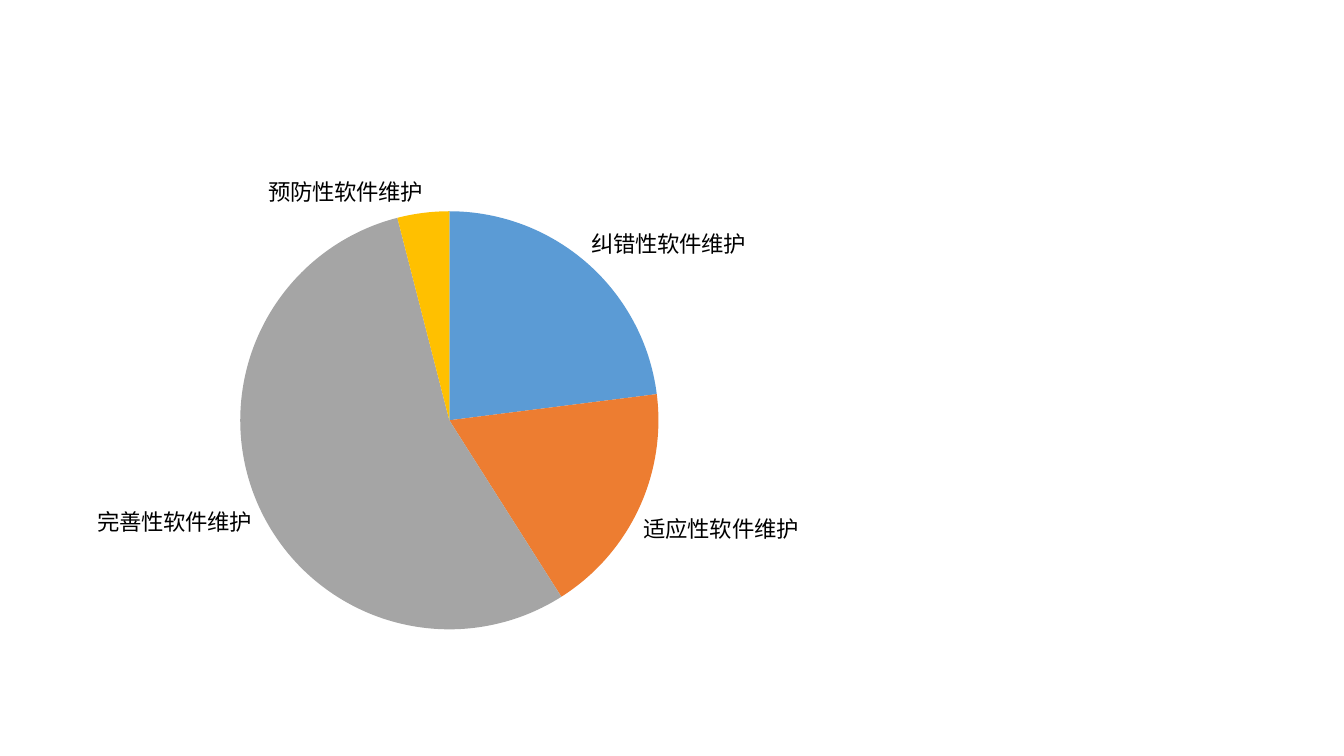
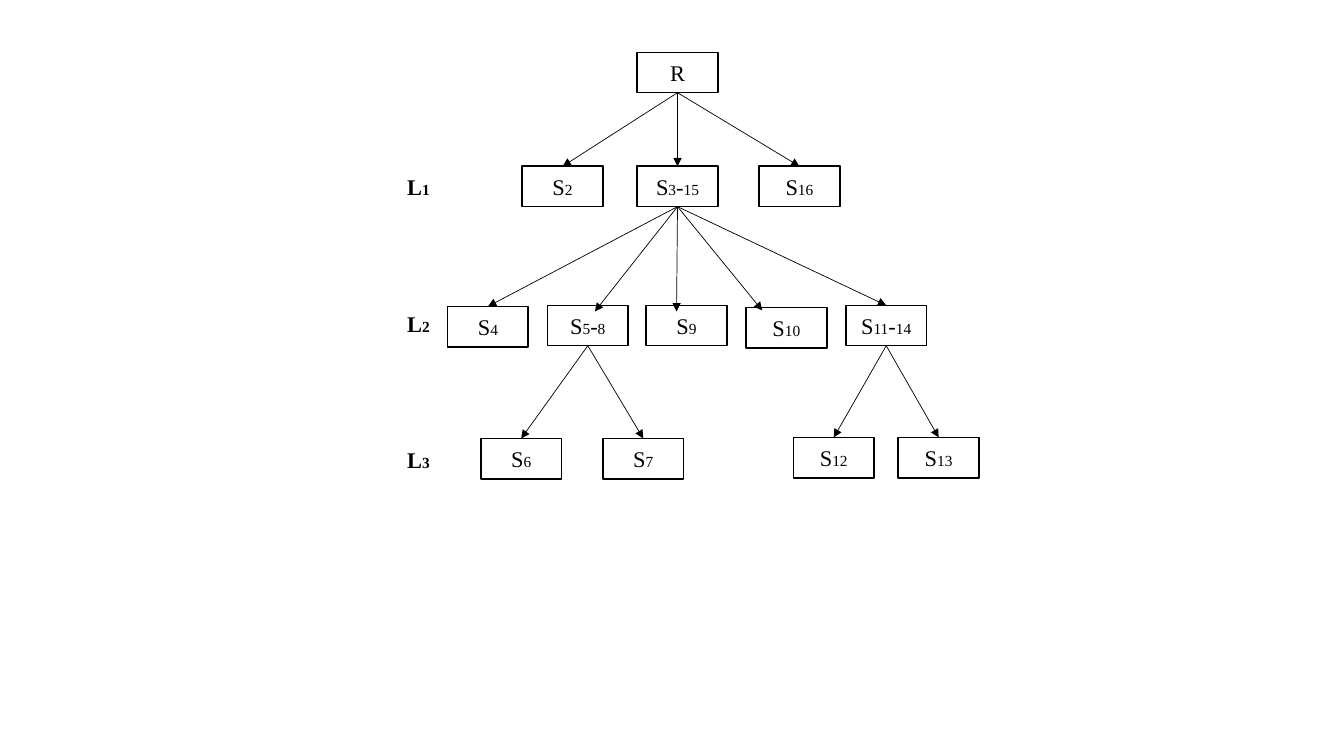
from itertools import groupby

from lxml import etree
from pptx import Presentation
from pptx.chart import data as cd
from pptx.dml import color as dml
from pptx.enum import chart as ce, shapes, text
from pptx.oxml import ns
from pptx.util import Inches, Pt

BLACK = "000000"
CJK, SERIF = "Noto Sans CJK SC", "Times New Roman"
BIG, SMALL = 16, 11
BOX = (0.8, 0.4)

SHARES = [
    ("纠错性软件维护", 23, "5B9BD5"),
    ("适应性软件维护", 18, "ED7D31"),
    ("完善性软件维护", 55, "A5A5A5"),
    ("预防性软件维护", 4, "FFC000"),
]
PIE = {"x": 0.275, "y": 0.112, "w": 0.504, "h": 0.85}

# name: (left, top, parent, arrow tip where it is not the top centre)
NODES = {
    "R": (6.32, 0.52, None, None),
    "S2": (5.18, 1.65, "R", None),
    "S3-15": (6.32, 1.65, "R", None),
    "S16": (7.53, 1.65, "R", None),
    "S4": (4.44, 3.04, "S3-15", None),
    "S5-8": (5.43, 3.03, "S3-15", (5.9, 3.09)),
    "S9": (6.41, 3.03, "S3-15", (6.71, 3.09)),
    "S10": (7.4, 3.05, "S3-15", (7.56, 3.08)),
    "S11-14": (8.39, 3.03, "S3-15", None),
    "S6": (4.77, 4.35, "S5-8", None),
    "S7": (5.98, 4.35, "S5-8", None),
    "S12": (7.87, 4.34, "S11-14", None),
    "S13": (8.91, 4.34, "S11-14", None),
}
LEVELS = {"L1": 1.67, "L2": 3.03, "L3": 4.38}


def paint(code):
    """Turn a hex string into a colour."""
    return dml.RGBColor.from_string(code)


def style(obj, **vals):
    """Set each named format value on an object."""
    for key, val in vals.items():
        setattr(obj, key, val)


def ink(font, name, size, bold=False):
    """Give a font its face, size and colour."""
    style(font, name=name, size=Pt(size), bold=bold)
    font.color.rgb = paint(BLACK)


def write(frame, label, bold=False):
    """Write a label with its digits in the small size."""
    para = frame.paragraphs[0]
    for digit, chars in groupby(label, str.isdigit):
        run = para.add_run()
        run.text = "".join(chars)
        ink(run.font, SERIF, SMALL if digit else BIG, bold)
    return para


def box(slide, label, left, top):
    """Draw one outlined tree node."""
    rect = slide.shapes.add_shape(
        shapes.MSO_SHAPE.RECTANGLE, *map(Inches, (left, top, *BOX)))
    rect.shadow.inherit = False
    rect.fill.background()
    rect.line.color.rgb = paint(BLACK)
    rect.line.width = Pt(1.2)
    style(rect.text_frame, word_wrap=False,
          vertical_anchor=text.MSO_ANCHOR.MIDDLE)
    write(rect.text_frame, label).alignment = text.PP_ALIGN.CENTER
    return rect


def arrow(slide, above, below, tip):
    """Join two nodes, or run from a node to a free tip."""
    end = map(Inches, tip or (0, 0))
    line = slide.shapes.add_connector(
        shapes.MSO_CONNECTOR.STRAIGHT, 0, 0, *end)
    line.begin_connect(above, 2)
    if not tip:
        line.end_connect(below, 0)
    line.line.color.rgb = paint(BLACK)
    line.line.width = Pt(0.5)
    etree.SubElement(line.line._get_or_add_ln(), ns.qn("a:tailEnd"),
                     type="triangle")
    etree.SubElement(line._element.spPr, ns.qn("a:effectLst"))


def level(slide, label, top):
    """Name one level of the tree."""
    area = slide.shapes.add_textbox(*map(Inches, (3.94, top, 0.43, 0.37)))
    style(area.text_frame, word_wrap=False,
          auto_size=text.MSO_AUTO_SIZE.SHAPE_TO_FIT_TEXT)
    write(area.text_frame, label, bold=True)


def place(chart, **spot):
    """Fix the inner plot area as shares of the chart."""
    plot = chart._chartSpace.find(".//" + ns.qn("c:plotArea"))
    for old in plot.findall(ns.qn("c:layout")):
        plot.remove(old)
    layout = etree.Element(ns.qn("c:layout"))
    plot.insert(0, layout)
    manual = etree.SubElement(layout, ns.qn("c:manualLayout"))
    modes = {"layoutTarget": "inner", "xMode": "edge", "yMode": "edge"}
    for tag, val in {**modes, **spot}.items():
        etree.SubElement(manual, ns.qn("c:" + tag), val=str(val))


def pie(slide):
    """Chart the shares of the kinds of maintenance."""
    names, vals, fills = zip(*SHARES)
    data = cd.CategoryChartData()
    data.categories = names
    data.add_series("Series 1", vals)
    chart = slide.shapes.add_chart(
        ce.XL_CHART_TYPE.PIE, *map(Inches, (0.12, 1.55, 8.23, 4.88)),
        data).chart
    style(chart, has_title=False, has_legend=False)
    ink(chart.font, CJK, 10)
    plot = chart.plots[0]
    style(plot, vary_by_categories=True, has_data_labels=True)
    tags = plot.data_labels
    style(tags, show_category_name=True, show_value=False,
          show_percentage=False,
          position=ce.XL_LABEL_POSITION.OUTSIDE_END)
    ink(tags.font, CJK, BIG)
    for num, code in enumerate(fills):
        fill = plot.series[0].points[num].format.fill
        fill.solid()
        fill.fore_color.rgb = paint(code)
    for face in list(chart._chartSpace.iter(ns.qn("a:latin"))):
        face.addnext(etree.Element(ns.qn("a:ea"), typeface=CJK))
    place(chart, **PIE)


def tree(slide):
    """Draw the nodes, their arrows and the level names."""
    made = {}
    for name, (left, top, above, tip) in NODES.items():
        made[name] = box(slide, name, left, top)
        if above:
            arrow(slide, made[above], made[name], tip)
    for name, top in LEVELS.items():
        level(slide, name, top)


def main():
    """Build both slides and save them."""
    deck = Presentation()
    style(deck, slide_width=Inches(13.33), slide_height=Inches(7.5))
    for draw in (pie, tree):
        draw(deck.slides.add_slide(deck.slide_layouts[6]))
    deck.save("out.pptx")


main()
